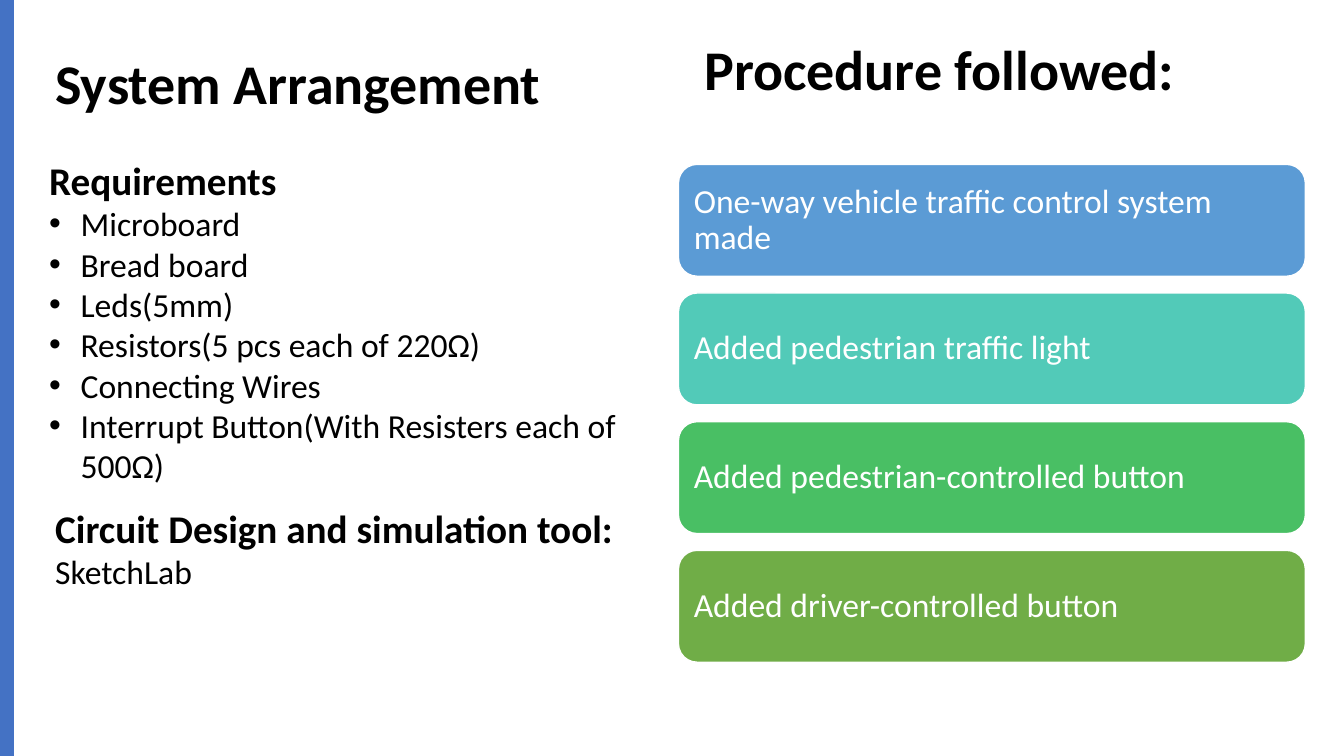
from lxml.etree import SubElement
from pptx import Presentation
from pptx.dml.color import RGBColor
from pptx.enum.shapes import MSO_SHAPE as Shape
from pptx.enum.text import MSO_ANCHOR as Anchor, PP_ALIGN as Align
from pptx.oxml.ns import qn
from pptx.util import Pt


class Theme:
    font = "Calibri"
    black = RGBColor.from_string("000000")
    white = RGBColor.from_string("FFFFFF")
    accent = RGBColor.from_string("4472C4")
    steps = [RGBColor.from_string(c) for c in ("5B9BD5", "52CAB8", "49BF64", "70AD47")]
    title = {"size": Pt(40), "bold": True}
    heading = {"size": Pt(28), "bold": True}
    body = {"size": Pt(24), "bold": False}


class SlideBuilder:
    def __init__(self, slide, theme):
        self.shapes = slide.shapes
        self.theme = theme

    def fill_text(self, frame, lines, color, spacing=1.0, anchor=Anchor.TOP):
        """Fill a frame from (text, font format, bulleted) triples."""
        frame.word_wrap = True
        frame.vertical_anchor = anchor
        for index, (text, style, bulleted) in enumerate(lines):
            para = frame.add_paragraph() if index else frame.paragraphs[0]
            para.alignment = Align.LEFT
            para.line_spacing = spacing
            if bulleted:
                self.add_bullet(para)
            span = para.add_run()
            span.text = text
            for name, value in {"name": self.theme.font, **style}.items():
                setattr(span.font, name, value)
            span.font.color.rgb = color

    def add_bullet(self, para, indent=Pt(22.5)):
        properties = para._p.get_or_add_pPr()
        properties.set("marL", str(indent))
        properties.set("indent", str(-indent))
        SubElement(properties, qn("a:buFont"), typeface="Arial")
        SubElement(properties, qn("a:buChar"), char="•")

    def text(self, bounds, lines, **layout):
        box = self.shapes.add_textbox(*map(Pt, bounds))
        self.fill_text(box.text_frame, lines, self.theme.black, **layout)

    def block(self, kind, bounds, fill):
        shape = self.shapes.add_shape(kind, *map(Pt, bounds))
        shape.shadow.inherit = False
        shape.fill.solid()
        shape.fill.fore_color.rgb = fill
        shape.line.fill.background()
        return shape

    def step(self, bounds, text, fill):
        card = self.block(Shape.ROUNDED_RECTANGLE, bounds, fill)
        card.line.color.rgb = self.theme.white
        card.line.width = Pt(1)
        self.fill_text(card.text_frame, [(text, self.theme.body, False)],
                       self.theme.white, spacing=0.9, anchor=Anchor.MIDDLE)


REQUIREMENTS = [
    "Microboard",
    "Bread board",
    "Leds(5mm)",
    "Resistors(5 pcs each of 220Ω)",
    "Connecting Wires",
    "Interrupt Button(With Resisters each of 500Ω)",
]
STEPS = [
    "One-way vehicle traffic control system made",
    "Added pedestrian traffic light",
    "Added pedestrian-controlled button",
    "Added driver-controlled button",
]
STEP_TOP, STEP_HEIGHT, STEP_PITCH = 117.4, 79.9, 91.9


def main():
    deck = Presentation()
    deck.slide_width, deck.slide_height = Pt(960), Pt(540)
    theme = Theme()
    page = SlideBuilder(deck.slides.add_slide(deck.slide_layouts[6]), theme)

    page.block(Shape.RECTANGLE, (0, 0, 10, 540), theme.accent)
    page.text((496, 21, 408, 61), [("Procedure followed:", theme.title, False)],
              spacing=0.9, anchor=Anchor.MIDDLE)
    for index, (text, fill) in enumerate(zip(STEPS, theme.steps)):
        top = STEP_TOP + index * STEP_PITCH
        page.step((484.6, top, 447.8, STEP_HEIGHT), text, fill)

    page.text((32.4, 31, 361.5, 55.5), [("System Arrangement", theme.title, False)])
    page.text((28, 108, 452, 245), [
        ("Requirements", theme.heading, False),
        *((item, theme.body, True) for item in REQUIREMENTS),
    ])
    page.text((32.4, 356.4, 448, 99.4), [
        ("Circuit Design and simulation tool:", theme.heading, False),
        ("SketchLab", theme.body, False),
    ])
    deck.save("out.pptx")


if __name__ == "__main__":
    main()
